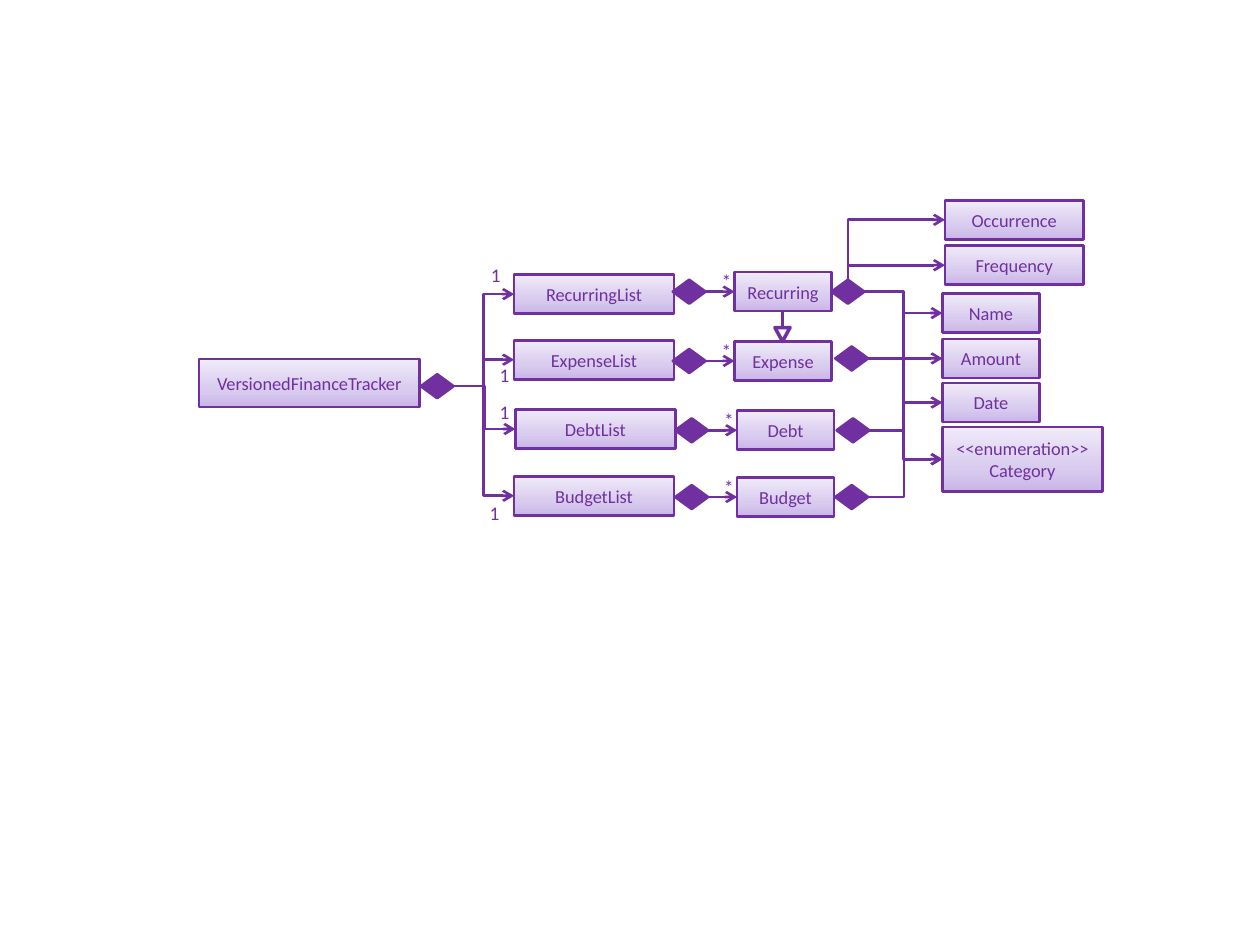
from copy import deepcopy
from dataclasses import dataclass

from lxml import etree
from pptx import Presentation
from pptx.dml.color import RGBColor
from pptx.enum.shapes import MSO_CONNECTOR, MSO_SHAPE
from pptx.enum.text import MSO_ANCHOR, PP_ALIGN
from pptx.oxml.ns import qn
from pptx.util import Emu, Inches, Pt

ELBOW, STRAIGHT = MSO_CONNECTOR.ELBOW, MSO_CONNECTOR.STRAIGHT
RECT, DIAMOND = MSO_SHAPE.RECTANGLE, MSO_SHAPE.FLOWCHART_DECISION
TRIANGLE = MSO_SHAPE.ISOSCELES_TRIANGLE
MIDDLE, TOP, CENTER = MSO_ANCHOR.MIDDLE, MSO_ANCHOR.TOP, PP_ALIGN.CENTER

COLORS = {"ink": "7030A0", "base": "C9B5E8", "mid": "D8CBEE", "light": "F0EAF9"}
FONT = "Calibri"
COLUMNS = 100
SLIDE_W, SLIDE_H = Inches(10), Inches(7.5)
ROW_H, LIST_W, ITEM_W, EXTRA_W = 3.1, 12.7, 7.7, 11


@dataclass(frozen=True)
class Area:
    left: float
    top: float
    width: float
    height: float = ROW_H

    @property
    def west(self):
        return self.left, self.top + self.height / 2

    @property
    def east(self):
        return self.left + self.width, self.top + self.height / 2


@dataclass(frozen=True)
class Chain:
    list_name: str
    list_at: tuple
    count_at: tuple
    item_name: str
    item_at: tuple
    owner_at: tuple
    details: tuple
    bend: float = 0.5


TRACKER = Area(15.8, 28.5, 17.5, 3.8)
TRACKER_OWNER_AT = (33.4, 29.7)
CATEGORY = "<<enumeration>>\nCategory"

CHAINS = [
    Chain("RecurringList", (40.8, 21.8), (38.3, 20.9),
          "Recurring", (58.3, 21.6), (66, 22.2), ("Name", CATEGORY)),
    Chain("ExpenseList", (40.8, 27), (39, 28.8),
          "Expense", (58.3, 27.1), (66.3, 27.5), ("Amount",)),
    Chain("DebtList", (40.9, 32.5), (39, 31.8),
          "Debt", (58.5, 32.6), (66.4, 33.2), ("Date",), 0.47),
    Chain("BudgetList", (40.8, 37.8), (38.2, 39.8),
          "Budget", (58.5, 37.9), (66.3, 38.5), (CATEGORY,), 0.48),
]

DETAILS = {
    "Occurrence": Area(75, 15.9, EXTRA_W),
    "Frequency": Area(75, 19.5, EXTRA_W),
    "Name": Area(74.8, 23.3, ITEM_W),
    "Amount": Area(74.8, 26.9, ITEM_W),
    "Date": Area(74.8, 30.4, ITEM_W),
    CATEGORY: Area(74.8, 33.9, LIST_W, 5.1),
}


def cells(count: float) -> Emu:
    return Emu(round(SLIDE_W * count / COLUMNS))


def color(name: str) -> RGBColor:
    return RGBColor.from_string(COLORS[name])


def write(holder, text: str, *, size: float, anchor=MIDDLE, inset: float = 0):
    frame = holder.text_frame
    frame.word_wrap = True
    frame.vertical_anchor = anchor
    frame.margin_left = frame.margin_right = cells(inset)
    frame.margin_top = frame.margin_bottom = 0
    paragraph = frame.paragraphs[0]
    paragraph.alignment = CENTER
    for index, line in enumerate(text.split("\n")):
        if index:
            paragraph.add_line_break()
        run = paragraph.add_run()
        run.text = line
        run.font.size, run.font.name = Pt(size), FONT
        run.font.color.rgb = color("ink")


def outline(shapes, kind, area: Area, weight: float = 1.5):
    shape = shapes.add_shape(kind, cells(area.left), cells(area.top),
                             cells(area.width), cells(area.height))
    shape.shadow.inherit = False
    shape.line.color.rgb = color("ink")
    shape.line.width = Pt(weight)
    return shape


def class_box(shapes, name: str, area: Area) -> Area:
    box = outline(shapes, RECT, area)
    box.fill.gradient()
    box.fill.gradient_angle = 90
    stop_list = box._element.spPr.find(qn("a:gradFill")).find(qn("a:gsLst"))
    stop_list.insert(1, deepcopy(stop_list[0]))
    for stop, tone, position in zip(box.fill.gradient_stops,
                                    ("base", "mid", "light"), (0, 0.35, 1)):
        stop.color.rgb = color(tone)
        stop.position = position
    write(box, name, size=10.5, inset=0.5)
    return area


def composition(shapes, left: float, top: float) -> Area:
    area = Area(left, top, 2.6, 1.9)
    diamond = outline(shapes, DIAMOND, area)
    diamond.fill.solid()
    diamond.fill.fore_color.rgb = color("ink")
    return area


def multiplicity(shapes, mark: str, left: float, top: float):
    label = shapes.add_textbox(cells(left), cells(top), cells(2.1), cells(2))
    write(label, mark, size=11, anchor=TOP)


def link(shapes, start: tuple, end: tuple, *, kind=ELBOW, bend: float = 0.5, arrow: bool = True):
    line = shapes.add_connector(kind, *map(cells, start + end))
    line.line.color.rgb = color("ink")
    line.line.width = Pt(1.5)
    properties = line._element.spPr
    etree.SubElement(properties, qn("a:effectLst"))
    if bend != 0.5:
        guides = properties.find(qn("a:prstGeom")).find(qn("a:avLst"))
        etree.SubElement(guides, qn("a:gd"), name="adj1", fmla=f"val {round(bend * 100000)}")
    if arrow:
        etree.SubElement(properties.find(qn("a:ln")), qn("a:tailEnd"), type="arrow")
    return line


def corner_link(shapes, start: tuple, end: tuple):
    middle_x, middle_y = (start[0] + end[0]) / 2, (start[1] + end[1]) / 2
    half_rise, half_run = (start[1] - end[1]) / 2, (end[0] - start[0]) / 2
    line = link(shapes, (middle_x + half_rise, middle_y + half_run),
                (middle_x - half_rise, middle_y - half_run))
    properties = line._element.spPr
    properties.find(qn("a:prstGeom")).set("prst", "bentConnector2")
    properties.find(qn("a:xfrm")).set("rot", "5400000")


def inheritance(shapes, x: float, top: float):
    group = shapes.add_group_shape().shapes
    link(group, (x, top), (x, top + 1.2), kind=STRAIGHT, arrow=False)
    head = outline(group, TRIANGLE, Area(x - 0.6, top + 1.2, 1.2, 1.1), weight=2)
    head.fill.background()
    head.rotation = 180


def draw_chain(shapes, chain: Chain, source: Area):
    item_left, item_top = chain.item_at
    collection = class_box(shapes, chain.list_name, Area(*chain.list_at, LIST_W))
    item = class_box(shapes, chain.item_name, Area(*chain.item_at, ITEM_W))
    holder = composition(shapes, item_left - 4.9, item_top + 0.6)
    owner = composition(shapes, *chain.owner_at)
    link(shapes, source.east, collection.west)
    link(shapes, holder.east, (item.left, holder.east[1]))
    for detail in chain.details:
        link(shapes, owner.east, DETAILS[detail].west, bend=chain.bend)
    multiplicity(shapes, "1", *chain.count_at)
    multiplicity(shapes, "*", item_left - 1.7, item_top - 0.2)


def main():
    deck = Presentation()
    deck.slide_width, deck.slide_height = SLIDE_W, SLIDE_H
    shapes = deck.slides.add_slide(deck.slide_layouts[6]).shapes
    class_box(shapes, "VersionedFinanceTracker", TRACKER)
    tracker_owner = composition(shapes, *TRACKER_OWNER_AT)
    for name, area in DETAILS.items():
        class_box(shapes, name, area)
    for chain in CHAINS:
        draw_chain(shapes, chain, tracker_owner)
    inheritance(shapes, 62.1, 24.8)
    corner_link(shapes, (67.3, 22.2), DETAILS["Occurrence"].west)
    frequency = DETAILS["Frequency"].west
    link(shapes, (67.4, frequency[1]), frequency)
    deck.save("out.pptx")


if __name__ == "__main__":
    main()
